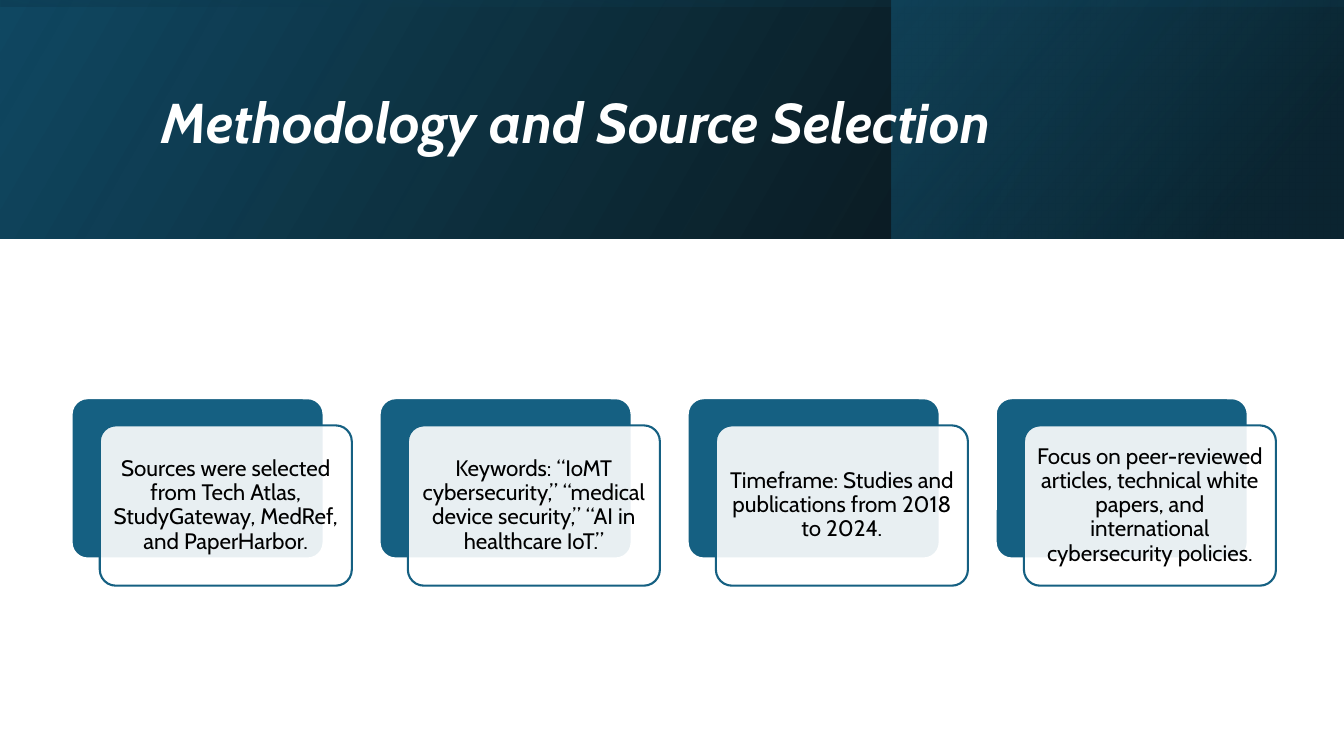
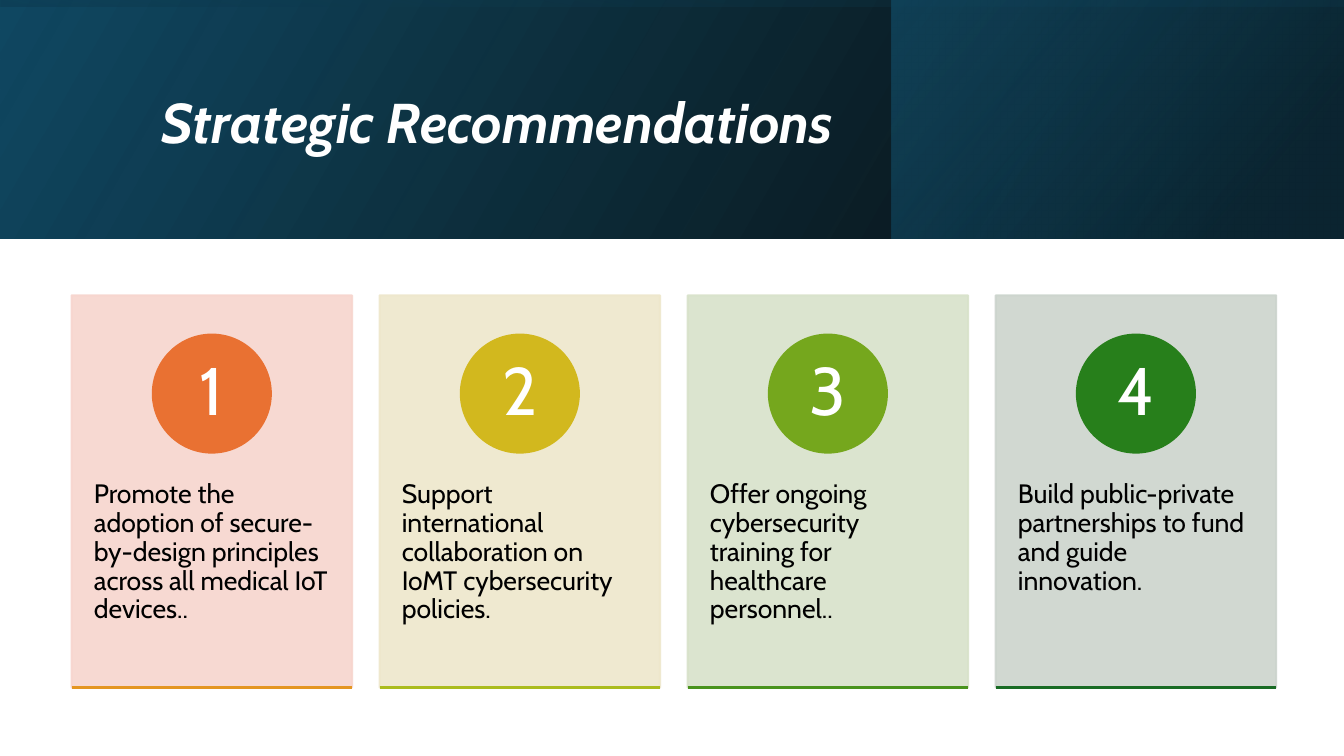
from lxml import etree
from pptx import Presentation
from pptx import util as u
from pptx.dml.color import RGBColor
from pptx.enum import shapes, text
from pptx.oxml.ns import qn

FONT = "Cabin"
COLORS = {
    "white": "FFFFFF", "black": "000000", "navy": "104862",
    "deep": "0B3041", "teal": "156082",
}
# Card grid, in percent of the slide width
LEFT, PITCH, CARD_W = 5.33, 22.92, 20.86
BAND_H = 31.6


def rgb(color):
    return RGBColor.from_string(COLORS.get(color, color))


def set_alpha(sp, alphas):
    """Give the shape's colours, in order, their opacity in percent."""
    for clr, a in zip(sp._element.spPr.iter(qn("a:srgbClr")), alphas):
        etree.SubElement(clr, qn("a:alpha"), val=str(a * 1000))


class Deck:
    """Holds the style and the current slide; lengths are percent of the slide."""

    def __init__(self):
        self.prs = Presentation()
        self.prs.slide_width, self.prs.slide_height = u.Inches(40 / 3), u.Inches(7.5)
        self.s = None

    def box(self, x, y, w, h):
        sw, sh = self.prs.slide_width, self.prs.slide_height
        return [int(v / 100 * full) for v, full in zip((x, y, w, h), (sw, sh, sw, sh))]

    def slide(self, title):
        self.s = self.prs.slides.add_slide(self.prs.slide_layouts[6])
        # Header: three overlaid gradients
        self.band(0, 100, [(0, "black", 96), (100, "navy", 100)], 330)
        self.band(66.34, 33.62, [(19, "deep", 68), (100, "teal", 48)], 320)
        self.band(0, 100, [(23, "navy", 16), (99, "black", 45)], 350, turned=True)
        tb = self.s.shapes.add_textbox(*self.box(11.3, 5.07, 79.7, 22.93))
        self.label(tb, title, 40, "white", insets=(0.1, 0.05), bold=True)

    def shape(self, kind, box, fill, line=None, alpha=None):
        sp = self.s.shapes.add_shape(kind, *self.box(*box))
        sp.shadow.inherit = False
        sp.fill.solid()
        sp.fill.fore_color.rgb = rgb(fill)
        sp.line.color.rgb = rgb(line or fill)
        sp.line.width = u.Pt(1.5)
        if alpha:
            set_alpha(sp, alpha)
        return sp

    def band(self, x, w, stops, angle, turned=False):
        left, top, width, height = self.box(x, 0, w, BAND_H)
        if turned:  # upright box about the same centre, rotated into place
            left, top = left + (width - height) // 2, top + (height - width) // 2
            width, height = height, width
        sp = self.s.shapes.add_shape(shapes.MSO_SHAPE.RECTANGLE, left, top, width, height)
        sp.shadow.inherit = False
        sp.line.fill.background()
        sp.rotation = 270 if turned else 0
        sp._element.spPr.find(qn("a:xfrm")).set("flipH", "1")
        sp.fill.gradient()
        sp.fill.gradient_angle = 360 - angle
        for stop, (pos, color, _) in zip(sp.fill.gradient_stops, stops):
            stop.position = pos / 100
            stop.color.rgb = rgb(color)
        set_alpha(sp, [a for _, _, a in stops])

    def label(self, sp, words, size, color, insets=(0, 0), align=text.PP_ALIGN.LEFT,
              anchor=text.MSO_ANCHOR.MIDDLE, bold=False):
        tf = sp.text_frame
        tf.word_wrap = True
        tf.vertical_anchor = anchor
        tf.margin_left = tf.margin_right = u.Inches(insets[0])
        tf.margin_top = u.Inches(insets[1])
        tf.margin_bottom = u.Inches(insets[1] if anchor == text.MSO_ANCHOR.MIDDLE else 0)
        p = tf.paragraphs[0]
        p.text, p.alignment, p.line_spacing = words, align, 0.9
        p.font.name, p.font.size = FONT, u.Pt(size)
        p.font.bold = p.font.italic = bold
        p.font.color.rgb = rgb(color)

    def rule(self, x, y, w, color):
        x, y, w, _ = self.box(x, y, w, 0)
        ln = self.s.shapes.add_connector(shapes.MSO_CONNECTOR.STRAIGHT, x, y, x + w, y)
        ln.line.color.rgb = rgb(color)
        ln.line.width = u.Pt(1.5)
        etree.SubElement(ln._element.spPr, qn("a:effectLst"))

    def layered_card(self, col, words):
        x, y, w, h = LEFT + col * PITCH, 52.67, 18.75, 21.2
        kind = shapes.MSO_SHAPE.ROUNDED_RECTANGLE
        back = self.shape(kind, (x, y, w, h), "teal", "white")
        front = self.shape(kind, (x + 2.1, y + 3.6, w, h), "white", "teal", alpha=[90])
        back.adjustments[0] = front.adjustments[0] = 0.1
        self.label(front, words, 16, "black", (0.08, 0.08), text.PP_ALIGN.CENTER)

    def numbered_card(self, col, words, tint, accent, rule):
        x, y, h, disc_w, disc_h = LEFT + col * PITCH, 39.07, 51.87, 8.78, 15.6
        panel = self.shape(shapes.MSO_SHAPE.RECTANGLE, (x, y, CARD_W, h), tint, alpha=[90, 90])
        self.label(panel, words, 19, "black", (0.22, 1.84), anchor=text.MSO_ANCHOR.TOP)
        disc = self.shape(shapes.MSO_SHAPE.OVAL,
                          (x + (CARD_W - disc_w) / 2, y + 5.2, disc_w, disc_h), accent)
        self.label(disc, str(col + 1), 48, "white", align=text.PP_ALIGN.CENTER)
        self.rule(x, y + h, CARD_W, rule)


def main():
    deck = Deck()

    # Methodology
    deck.slide("Methodology and Source Selection")
    for col, words in enumerate([
        "Sources were selected from Tech Atlas, StudyGateway, MedRef, and PaperHarbor.",
        "Keywords: “IoMT cybersecurity,” “medical device security,” “AI in healthcare IoT.”",
        "Timeframe: Studies and publications from 2018 to 2024.",
        "Focus on peer-reviewed articles, technical white papers, and international "
        "cybersecurity policies.",
    ]):
        deck.layered_card(col, words)

    # Recommendations: words, panel tint, disc, bottom rule
    deck.slide("Strategic Recommendations")
    for col, card in enumerate([
        ("Promote the adoption of secure-by-design principles across all medical IoT devices..",
         "F7D5CE", "E97132", "E49622"),
        ("Support international collaboration on IoMT cybersecurity policies.",
         "EEE7CB", "D2B81E", "ABBC1E"),
        ("Offer ongoing cybersecurity training for healthcare personnel..",
         "D8E2CA", "75A71D", "49931D"),
        ("Build public-private partnerships to fund and guide innovation.",
         "CCD4CD", "277F1B", "196B24"),
    ]):
        deck.numbered_card(col, *card)

    deck.prs.save("out.pptx")


if __name__ == "__main__":
    main()
